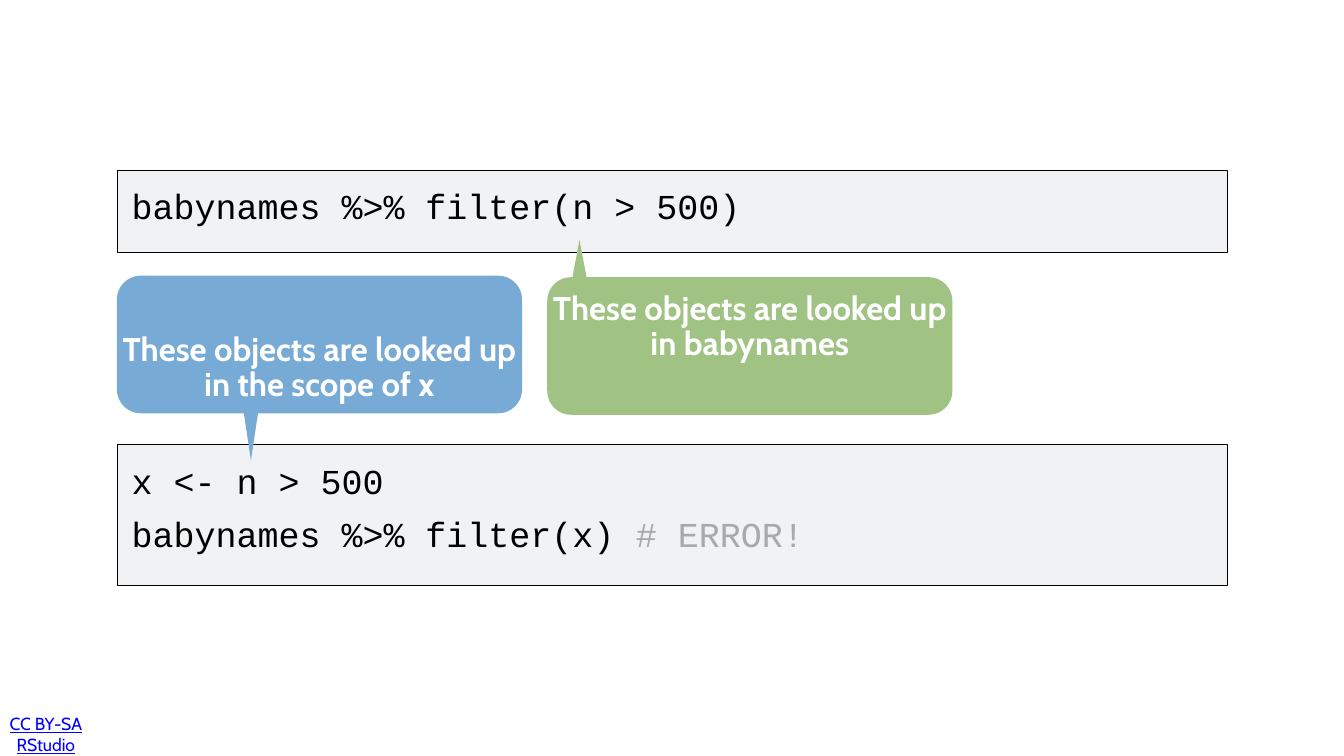
from lxml import etree
from pptx import Presentation
from pptx import util as u
from pptx.dml.color import RGBColor
from pptx.enum import shapes, text
from pptx.oxml.ns import qn

COLUMNS, ROWS = 26.67, 15
CELL = u.Inches(1)
COLORS = {
    "panel": "F0F2F4",
    "ink": "000000",
    "comment": "A6AAA9",
    "data": "A0C283",
    "scope": "78AAD6",
    "white": "FFFFFF",
    "link": "0000FF",
}


def cells(*lengths):
    """Turn grid columns or rows into EMU."""
    return [round(length * CELL) for length in lengths]


def color(name):
    return RGBColor.from_string(COLORS[name])


def round_corners(outline_shape, starts):
    """Turn the straight cut that ends each corner into a quarter-circle curve."""
    segments = list(outline_shape.element.find(".//" + qn("a:path")))
    points = [[int(node.get(axis)) for axis in "xy"]
              for node in outline_shape.element.iter(qn("a:pt"))]
    for quarter, start in enumerate(starts):
        (ax, ay), (bx, by) = points[start], points[start + 1]
        kx, ky = (ax, by) if quarter % 2 else (bx, ay)
        segment = segments[start + 1]
        curve = etree.Element(qn("a:cubicBezTo"))
        for x, y in ((ax, ay), (bx, by)):
            etree.SubElement(curve, qn("a:pt"),
                             x=str(round(x + 0.55 * (kx - x))),
                             y=str(round(y + 0.55 * (ky - y))))
        curve.append(segment[0])
        segment.getparent().replace(segment, curve)


class ScopeSlide:
    label_font, code_font = "Cabin", "Courier New"
    margin, content_width = 2.32, 22.03
    callout_width, callout_height, corner = 8.04, 2.73, 0.47
    tail_half = 0.14

    def __init__(self, slide):
        self.shapes = slide.shapes

    def style(self, run, font, size, fill, bold=False, underline=False):
        run.font.name, run.font.size = font, u.Pt(size)
        run.font.bold, run.font.underline = bold, underline
        run.font.color.rgb = color(fill)

    def frame(self, shape, inset, anchor):
        frame = shape.text_frame
        frame.word_wrap = True
        frame.vertical_anchor = anchor
        frame.margin_left = frame.margin_right = u.Inches(inset)
        frame.margin_top = frame.margin_bottom = u.Inches(inset)
        return frame

    def label(self, shape, wording, size, fill, spacing=None, **emphasis):
        """Write one centred paragraph into a shape."""
        frame = self.frame(shape, 0.08, text.MSO_ANCHOR.MIDDLE)
        frame.text = wording
        paragraph = frame.paragraphs[0]
        paragraph.alignment = text.PP_ALIGN.CENTER
        paragraph.line_spacing = spacing
        self.style(paragraph.runs[0], self.label_font, size, fill, **emphasis)

    def code(self, top, height, lines):
        """Draw a code panel; a line is a list of (wording, colour) pieces."""
        panel = self.shapes.add_shape(
            shapes.MSO_SHAPE.RECTANGLE,
            *cells(self.margin, top, self.content_width, height))
        panel.shadow.inherit = False
        panel.fill.solid()
        panel.fill.fore_color.rgb = color("panel")
        panel.line.color.rgb = color("ink")
        panel.line.width = u.Pt(1)

        listing = self.shapes.add_textbox(
            *cells(self.margin + 0.23, top + 0.23, 16.69, height - 0.29))
        frame = self.frame(listing, 0.06, text.MSO_ANCHOR.TOP)
        for number, pieces in enumerate(lines):
            paragraph = frame.add_paragraph() if number else frame.paragraphs[0]
            if number:
                paragraph.space_before = u.Pt(16)
            for wording, fill in pieces:
                run = paragraph.add_run()
                run.text = wording
                self.style(run, self.code_font, 50, fill)

    def callout(self, left, top, tip, fill, wording):
        """Draw a rounded box whose tail points at tip, above or below it."""
        right, bottom = left + self.callout_width, top + self.callout_height
        tip_x, tip_y = tip
        above = tip_y < top
        base, side = (top, -1) if above else (bottom, 1)
        tail = [(tip_x + side * self.tail_half, base), tip,
                (tip_x - side * self.tail_half, base)]
        r = self.corner
        corners = [
            (right - r, top), (right, top + r),
            (right, bottom - r), (right - r, bottom),
            (left + r, bottom), (left, bottom - r),
            (left, top + r), (left + r, top),
        ]
        before_tail = 0 if above else 4
        outline = corners[:before_tail] + tail + corners[before_tail:]
        starts = [i if i < before_tail else i + len(tail) for i in range(0, 8, 2)]

        first, *others = [tuple(cells(*point)) for point in outline]
        builder = self.shapes.build_freeform(*first)
        builder.add_line_segments(others, close=True)
        bubble = builder.convert_to_shape()
        round_corners(bubble, starts)
        bubble.shadow.inherit = False
        bubble.fill.solid()
        bubble.fill.fore_color.rgb = color(fill)
        bubble.line.fill.background()
        self.label(bubble, wording, 47, "white", spacing=0.9, bold=True)

    def footer(self, wording):
        box = self.shapes.add_textbox(*cells(0.12, 14.26, 2.66, 0.6))
        self.label(box, wording, 25, "link", underline=True)
        box.text_frame.margin_left = 0
        box.text_frame.margin_right = u.Inches(1.08)


def main():
    deck = Presentation()
    deck.slide_width, deck.slide_height = cells(COLUMNS, ROWS)
    page = ScopeSlide(deck.slides.add_slide(deck.slide_layouts[6]))

    page.footer("CC BY-SA RStudio")
    page.code(3.38, 1.62, [[("babynames %>% filter(n > 500)", "ink")]])
    page.callout(10.86, 5.5, (11.5, 4.76), "data",
                 "These objects are looked up in babynames")
    page.code(8.82, 2.79, [
        [("x <- n > 500", "ink")],
        [("babynames %>% filter(x) ", "ink"), ("# ERROR!", "comment")],
    ])
    page.callout(page.margin, 5.47, (4.98, 9.14), "scope",
                 "These objects are looked up in the scope of x")
    deck.save("out.pptx")


if __name__ == "__main__":
    main()
